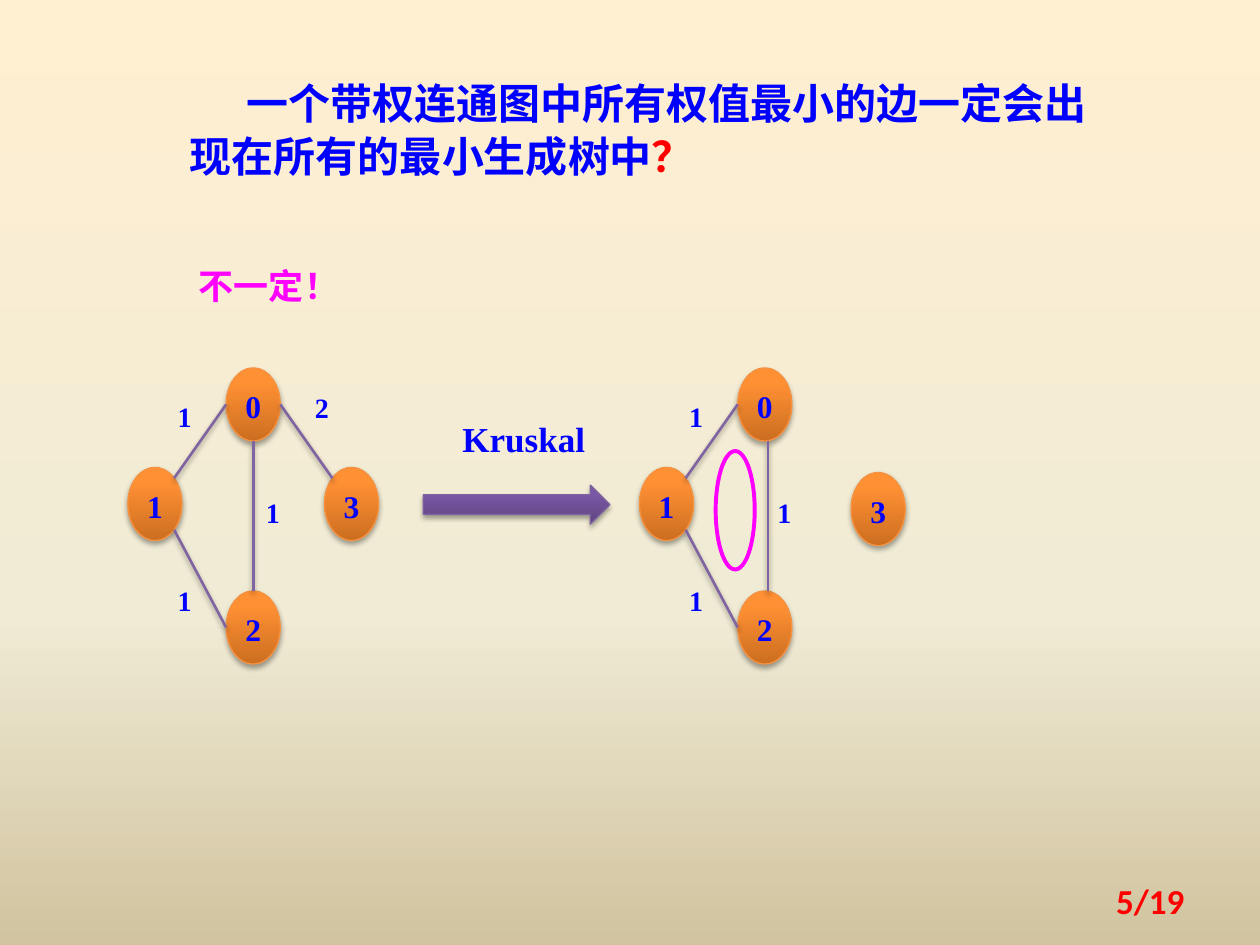
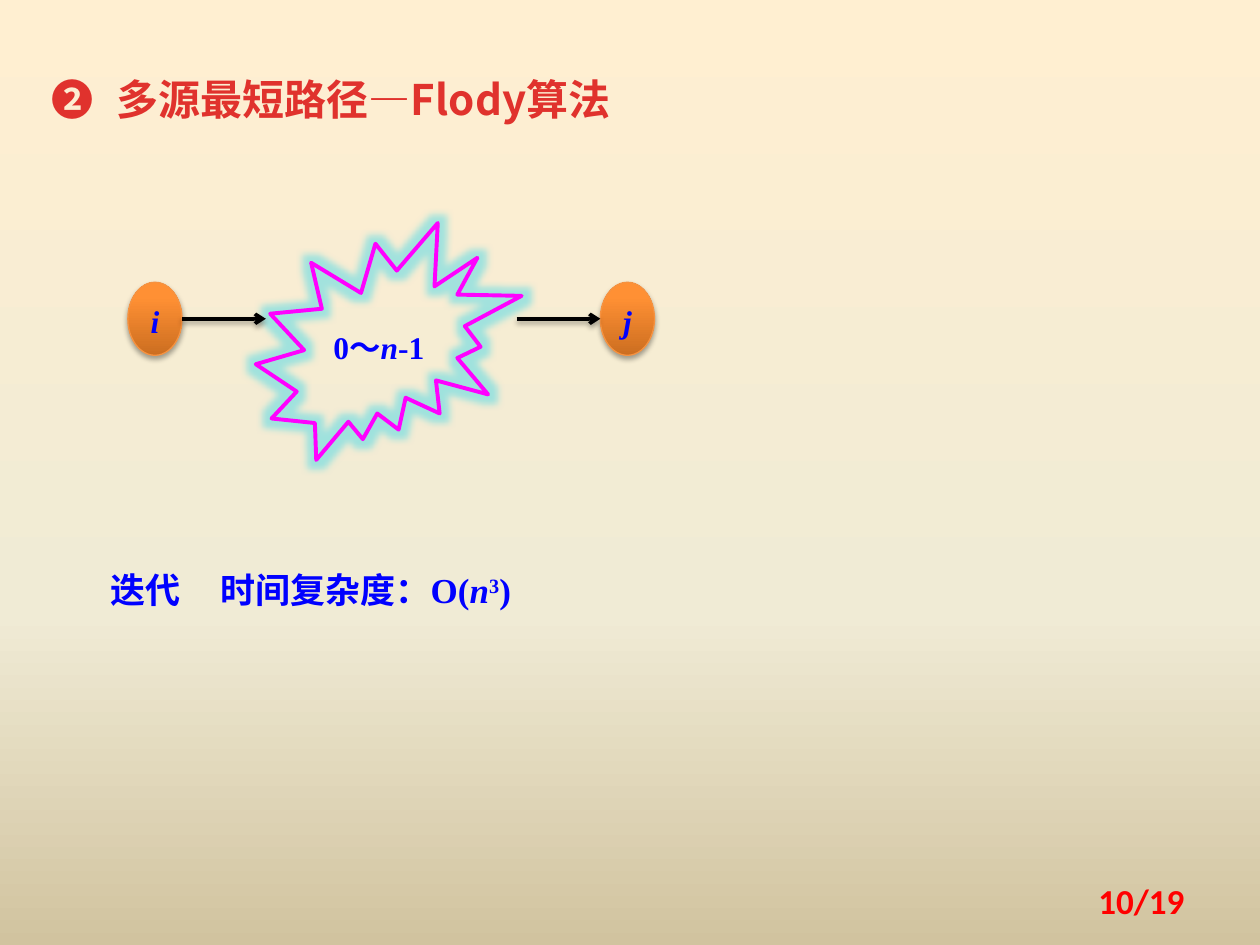
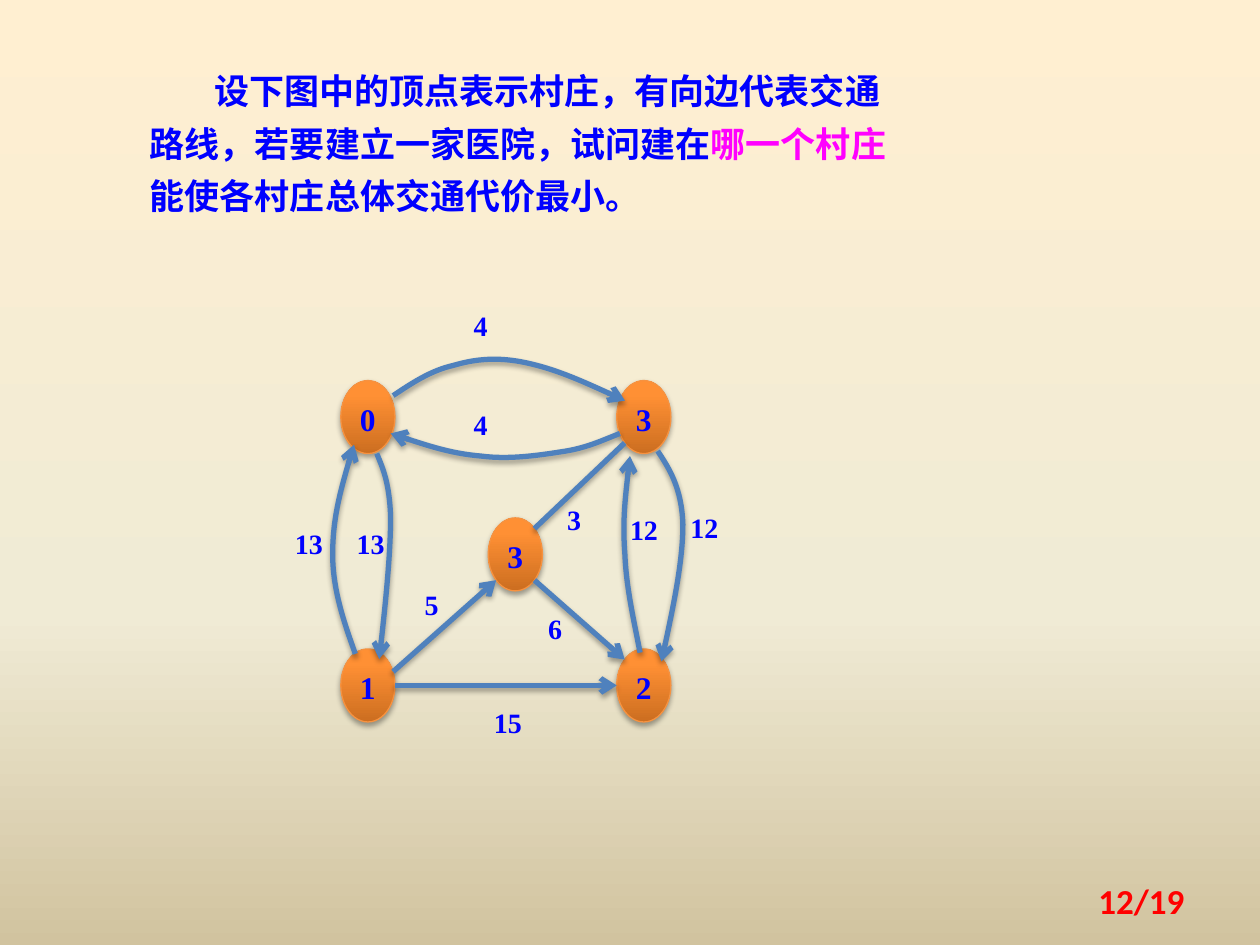
from dataclasses import dataclass
from math import cos, radians, sin

from lxml.etree import SubElement
from pptx import Presentation
from pptx.dml.color import RGBColor as Color
from pptx.enum.shapes import MSO_CONNECTOR as Connector, MSO_SHAPE as Preset
from pptx.enum.text import MSO_ANCHOR as Anchor, PP_ALIGN as Align
from pptx.oxml.ns import qn
from pptx.util import Inches, Pt

COLUMNS, ROWS = 100, 75
PAGE_TOTAL = 19


@dataclass(frozen=True)
class Theme:
    blue: str = "0000FF"
    red: str = "FF0000"
    magenta: str = "FF00FF"
    title: str = "E0322D"
    black: str = "000000"
    glow: str = "4BD8E8"
    tree_edge: str = "8064A2"
    road: str = "4F81BD"
    node_rim: str = "F69240"
    arrow_rim: str = "7D60A0"
    page_stops: tuple = ((0, "FFEFD1"), (65, "F0EBD5"), (100, "D1C39F"))
    node_stops: tuple = ((0, "CC6E20"), (80, "FF9034"), (100, "FF9136"))
    arrow_stops: tuple = ((0, "5F4480"), (80, "7B58A6"), (100, "7C57A8"))
    serif: str = "Times New Roman"
    chinese: str = "Noto Sans CJK SC"
    footer: str = "Calibri"
    heading: int = 24
    body: int = 20
    node: int = 18
    label: int = 16


def fill_gradient(fill, holder, stops, angle):
    """Fill with any number of (percent, colour) stops; holder is the XML parent."""
    fill.gradient()
    fill.gradient_angle = angle
    stop_list = holder.find(".//" + qn("a:gsLst"))
    for old_stop in list(stop_list):
        stop_list.remove(old_stop)
    for percent, colour in stops:
        stop = SubElement(stop_list, qn("a:gs"), pos=str(percent * 1000))
        SubElement(stop, qn("a:srgbClr"), val=colour)


def add_effect(shape, kind, colour, opacity, **settings):
    properties = shape.element.spPr
    effects = properties.find(qn("a:effectLst"))
    if effects is None:
        effects = SubElement(properties, qn("a:effectLst"))
    effect = SubElement(effects, qn("a:" + kind), **settings)
    tint = SubElement(effect, qn("a:srgbClr"), val=colour)
    SubElement(tint, qn("a:alpha"), val=str(opacity * 1000))


def rim(centre, degrees):
    """Point on a node's outline, measured clockwise from its right side."""
    x, y = centre
    turn = radians(degrees)
    return x + Sheet.RADIUS_X * cos(turn), y + Sheet.RADIUS_Y * sin(turn)


class Sheet:
    """Draws on the current slide, in cells of a 100 by 75 grid."""

    RADIUS_X, RADIUS_Y = 2.15, 2.9

    def __init__(self, deck, theme):
        self.deck, self.theme = deck, theme
        self.slide = None
        master = deck.slide_master
        fill_gradient(master.background.fill, master.element, theme.page_stops, 270)

    def new_page(self, number):
        self.slide = self.deck.slides.add_slide(self.deck.slide_layouts[6])
        box = self.text(71.7, 69.5, 23.3, 4, f"{number}/{PAGE_TOTAL}", self.theme.body,
                        color=self.theme.red, font=self.theme.footer, line=None)
        box.text_frame.vertical_anchor = Anchor.MIDDLE
        box.text_frame.paragraphs[0].alignment = Align.RIGHT

    def at(self, x, y):
        return (round(x * self.deck.slide_width / COLUMNS),
                round(y * self.deck.slide_height / ROWS))

    def add_spans(self, para, spans, size, color=None, font=None):
        """Spans are a string or (text, changes) pairs; changes: color, italic, raised."""
        if isinstance(spans, str):
            spans = [(spans, {})]
        for words, changes in spans:
            span = para.add_run()
            span.text = words
            style = span.font
            style.size, style.bold = Pt(size), True
            style.italic = changes.get("italic", False)
            style.name = font or self.theme.serif
            style.color.rgb = Color.from_string(
                changes.get("color", color or self.theme.blue))
            properties = span._r.get_or_add_rPr()
            SubElement(properties, qn("a:ea"), typeface=self.theme.chinese)
            if changes.get("raised"):
                properties.set("baseline", "30000")

    def text(self, x, y, width, height, spans, size, color=None, font=None,
             line=30, indent=0, tab=0, inset=True):
        box = self.slide.shapes.add_textbox(*self.at(x, y), *self.at(width, height))
        frame = box.text_frame
        frame.word_wrap = True
        if not inset:
            self.remove_insets(frame)
        para = frame.paragraphs[0]
        if line:
            para.line_spacing = Pt(line)
        properties = para._p.get_or_add_pPr()
        if indent:
            properties.set("indent", str(Inches(indent)))
        if tab:
            tabs = SubElement(properties, qn("a:tabLst"))
            SubElement(tabs, qn("a:tab"), pos=str(Inches(tab)), algn="l")
        self.add_spans(para, spans, size, color, font)
        return box

    def label(self, x, y, words, width=1.6, height=4.2, line=30):
        self.text(x, y, width, height, words, self.theme.label, line=line, inset=False)

    def remove_insets(self, frame):
        frame.margin_left = frame.margin_right = 0
        frame.margin_top = frame.margin_bottom = 0

    def shape(self, preset, x, y, width, height, line, weight, stops=None):
        shape = self.slide.shapes.add_shape(
            preset, *self.at(x, y), *self.at(width, height))
        self.outline(shape, line, weight)
        shape.shadow.inherit = False
        if stops:
            fill_gradient(shape.fill, shape.element.spPr, stops, 90)
            self.shade(shape)
        else:
            shape.fill.background()
        return shape

    def caption(self, shape, spans):
        frame = shape.text_frame
        self.remove_insets(frame)
        frame.vertical_anchor = Anchor.MIDDLE
        frame.word_wrap = True
        para = frame.paragraphs[0]
        para.alignment = Align.CENTER
        para.line_spacing = 1.1
        self.add_spans(para, spans, self.theme.node)

    def node(self, centre, words, italic=False):
        x, y = centre
        shape = self.shape(Preset.OVAL, x - self.RADIUS_X, y - self.RADIUS_Y,
                           2 * self.RADIUS_X, 2 * self.RADIUS_Y,
                           self.theme.node_rim, 0.75, self.theme.node_stops)
        self.caption(shape, [(words, {"italic": italic})])

    def outline(self, shape, colour, weight, arrow=False):
        shape.line.color.rgb = Color.from_string(colour)
        shape.line.width = Pt(weight)
        if arrow:
            line = shape.element.spPr.find(qn("a:ln"))
            SubElement(line, qn("a:tailEnd"), type="arrow")

    def shade(self, shape):
        add_effect(shape, "outerShdw", self.theme.black, 35, blurRad=str(Pt(3.1)),
                   dist=str(Pt(1.8)), dir="5400000", rotWithShape="0")

    def edge(self, start, end, colour, weight, arrow=False):
        edge = self.slide.shapes.add_connector(
            Connector.STRAIGHT, *self.at(*start), *self.at(*end))
        self.outline(edge, colour, weight, arrow)
        self.shade(edge)

    def curve(self, start, *points):
        """Arrow along Bezier pieces, each given as two controls and an end."""
        builder = self.slide.shapes.build_freeform(*self.at(*start))
        builder.add_line_segments([self.at(*point) for point in points], close=False)
        shape = builder.convert_to_shape()
        self.bend(list(shape.element.iter(qn("a:lnTo"))))
        shape.fill.background()
        self.outline(shape, self.theme.road, 3, arrow=True)
        self.shade(shape)

    def bend(self, steps):
        """Turn each three straight steps into one cubic Bezier piece."""
        outline = steps[0].getparent()
        for first in range(0, len(steps), 3):
            piece = SubElement(outline, qn("a:cubicBezTo"))
            for step in steps[first:first + 3]:
                piece.append(step[0])
                outline.remove(step)


def draw_tree(sheet, left, lean=90):
    """Nodes 0, 1 and 2 with their cycle; lean is where edge 0-2 leaves node 0."""
    top, side, bottom = (left + 10, 32.1), (left + 2.2, 40), (left + 10, 49.8)
    for words, centre in zip("012", (top, side, bottom)):
        sheet.node(centre, words)
    for start, end in ((rim(top, 180), rim(side, -45)),
                       (rim(side, 45), rim(bottom, 180)),
                       (rim(top, lean), rim(bottom, -lean))):
        sheet.edge(start, end, sheet.theme.tree_edge, 1.5)
    for x, y in ((4, 30.2), (4, 44.8), (11, 37.8)):
        sheet.label(left + x, y, "1")
    return top


def spanning_tree_page(sheet):
    theme = sheet.theme
    sheet.new_page(5)
    sheet.text(14.1, 5.5, 75, 9.4,
               [("一个带权连通图中所有权值最小的边一定会出现在所有的最小生成树中", {}),
                ("？", {"color": theme.red})], theme.heading, indent=0.45)
    sheet.text(14.8, 19.7, 17.2, 5.2, "不一定！", theme.body, color=theme.magenta)

    top = draw_tree(sheet, 10.1)
    leaf = (27.9, 40)
    sheet.node(leaf, "3")
    sheet.edge(rim(top, 0), rim(leaf, -135), theme.tree_edge, 1.5)
    sheet.label(25, 29.5, "2")

    draw_tree(sheet, 50.7, lean=83)
    sheet.node((69.7, 40.4), "3")
    sheet.shape(Preset.RIGHT_ARROW, 33.6, 38.5, 14.8, 3.1,
                theme.arrow_rim, 0.75, theme.arrow_stops)
    sheet.text(36.7, 32.3, 12.5, 4.2, "Kruskal", theme.body, inset=False)
    sheet.shape(Preset.OVAL, 56.8, 35.8, 3.1, 9.4, theme.magenta, 2.25)


def shortest_path_page(sheet):
    theme = sheet.theme
    italic = {"italic": True}
    sheet.new_page(10)
    sheet.text(3.1, 5.2, 59.4, 4.9, "❷\t多源最短路径―Flody算法", theme.heading,
               color=theme.title, font=theme.chinese, tab=0.52)
    source, target = (12.3, 25.3), (49.8, 25.3)
    sheet.node(source, "i", italic=True)
    sheet.node(target, "j", italic=True)
    burst = sheet.shape(Preset.EXPLOSION2, 20.3, 17.7, 21.1, 18.8, theme.magenta, 2.25)
    add_effect(burst, "glow", theme.glow, 50, rad=str(Pt(8)))
    sheet.caption(burst, [("0～", {}), ("n", italic), ("-1", {})])
    sheet.edge(rim(source, 0), (21.1, 25.3), theme.black, 2, arrow=True)
    sheet.edge((41, 25.3), rim(target, 180), theme.black, 2, arrow=True)
    sheet.text(7.8, 43.8, 43, 5.2,
               [("迭代\t时间复杂度：O(", {}), ("n", italic), ("3", {"raised": True}),
                (")", {})], theme.body, tab=0.87)


def village_page(sheet):
    theme = sheet.theme
    sheet.new_page(12)
    sheet.text(10.9, 4.2, 62.5, 13.6,
               [("设下图中的顶点表示村庄，有向边代表交通路线，若要建立一家医院，试问建在", {}),
                ("哪一个村庄", {"color": theme.magenta}),
                ("能使各村庄总体交通代价最小。", {})], theme.body, indent=0.51)

    left, right, upper, lower = 29.2, 51.1, 33.1, 54.4
    north_east, middle = (right, upper), (40.9, 44)
    south_west, south_east = (left, lower), (right, lower)
    for centre, words in (((left, upper), "0"), (north_east, "3"), (middle, "3"),
                          (south_west, "1"), (south_east, "2")):
        sheet.node(centre, words)

    for points in (
        ((31.2, 31.4), (32.7, 30.4), (34.2, 29.4), (36, 29),
         (37.7, 28.5), (39.5, 28.3), (41.8, 28.8), (44.1, 29.3), (46.8, 30.5), (49.6, 31.8)),
        ((49.2, 34.4), (47.9, 34.9), (46.7, 35.5), (44.9, 35.8),
         (43, 36.1), (40.5, 36.5), (38.2, 36.2), (35.9, 36), (33.4, 35.2), (31, 34.4)),
        ((29.9, 36), (30.4, 37.2), (30.9, 38.3), (31, 41),
         (31, 43.7), (30.6, 48), (30.1, 52.3)),
        ((28.2, 51.9), (27.3, 49.4), (26.4, 46.8), (26.4, 44),
         (26.4, 41.2), (27.2, 38.2), (28.1, 35.3)),
        ((52.2, 35.8), (53.2, 37.3), (54.1, 38.8), (54.2, 41.6),
         (54.2, 44.4), (53.4, 48.4), (52.5, 52.5)),
        ((50.8, 51.8), (50.3, 49.2), (49.7, 46.6), (49.6, 44),
         (49.4, 41.4), (49.7, 38.8), (50, 36.2)),
    ):
        sheet.curve(*points)

    for start, end, arrow in (
        (rim(middle, -45), rim(north_east, 135), False),
        (rim(south_west, -22), rim(middle, 135), True),
        (rim(south_west, 0), rim(south_east, 180), True),
        (rim(middle, 45), rim(south_east, -135), True),
    ):
        sheet.edge(start, end, theme.road, 3, arrow)

    for x, y, cost in ((54.8, 40.4, "12"), (50, 40.6, "12"), (23.4, 41.7, "13"),
                       (28.3, 41.7, "13"), (37.6, 24.4, "4"), (37.6, 32.2, "4"),
                       (33.7, 46.5, "5"), (45, 39.8, "3"), (39.2, 55.9, "15"),
                       (43.5, 48.4, "6")):
        sheet.label(x, y, cost, width=3.1, height=2.8, line=20)


def main():
    deck = Presentation()
    deck.slide_width, deck.slide_height = Inches(10), Inches(7.5)
    sheet = Sheet(deck, Theme())
    spanning_tree_page(sheet)
    shortest_path_page(sheet)
    village_page(sheet)
    deck.save("out.pptx")


if __name__ == "__main__":
    main()
